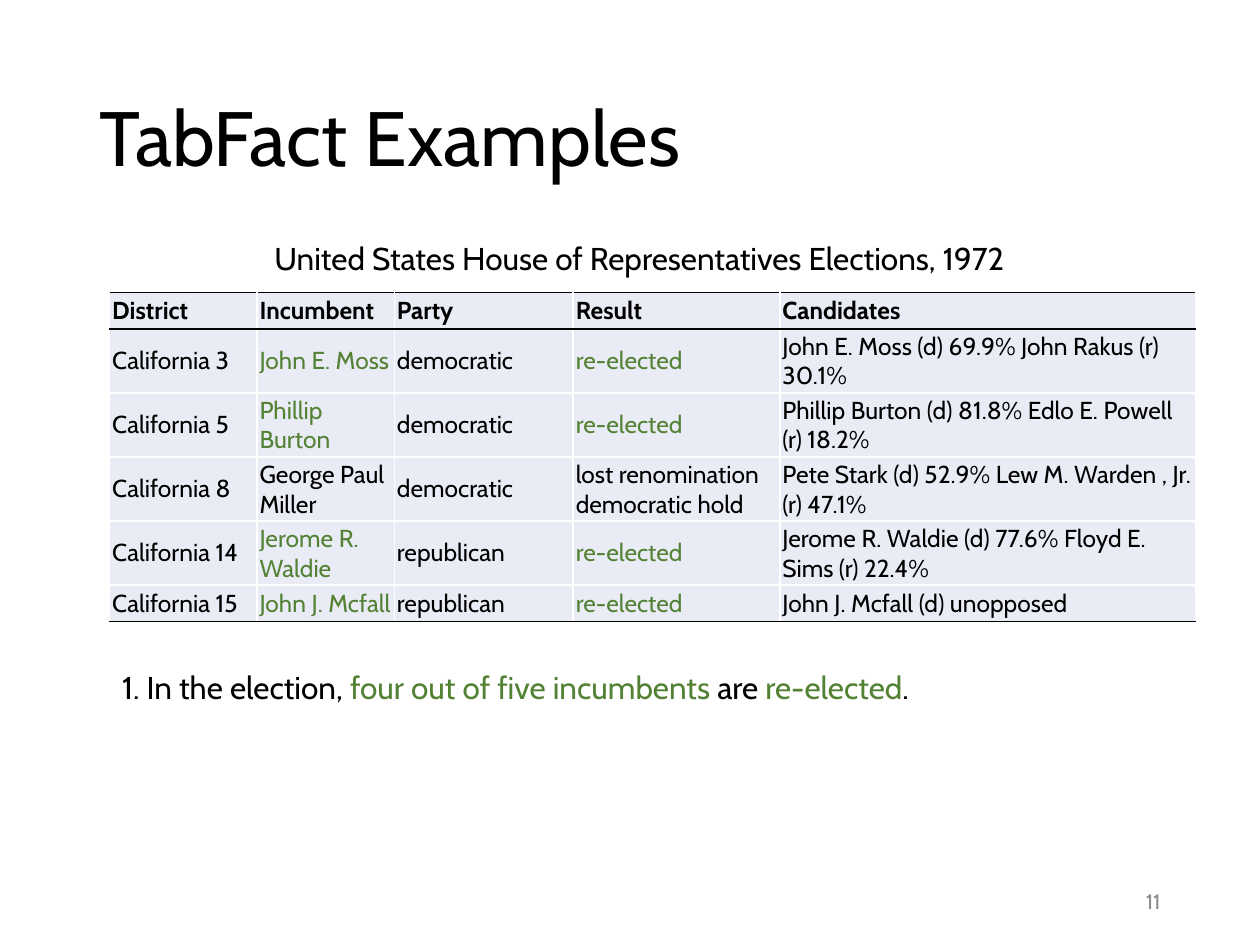
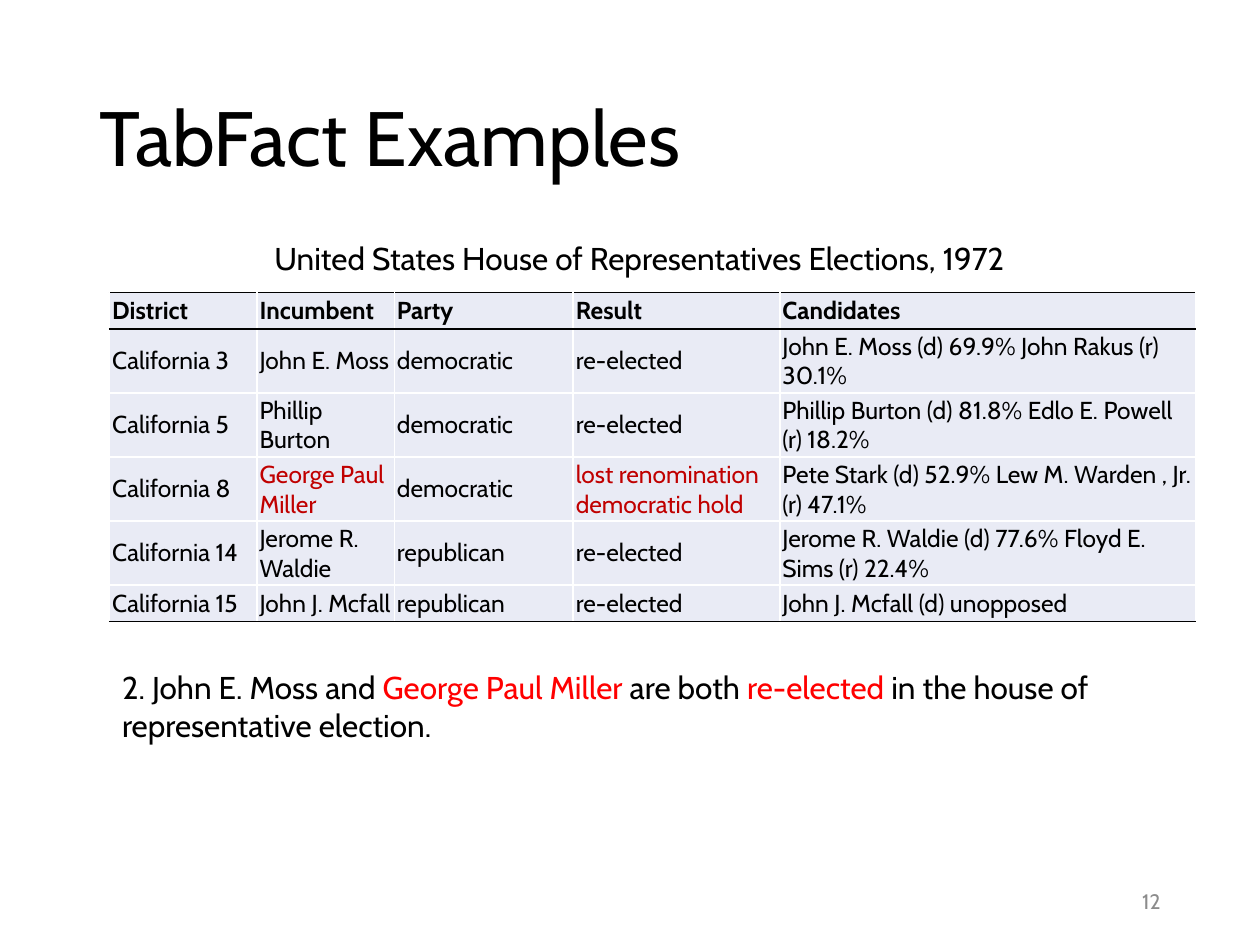
from lxml.etree import SubElement
from pptx import Presentation
from pptx.dml.color import RGBColor
from pptx.enum.text import MSO_ANCHOR, PP_ALIGN
from pptx.oxml.ns import qn
from pptx.util import Pt

COLORS = {"text": "000000", "number": "8C8C8C", "cell": "E9EBF5", "grid": "FFFFFF",
          "rule": "000000", "green": "548235", "dark red": "C00000", "red": "FF0000"}
FONT = "Cabin"

HEADER = ["District", "Incumbent", "Party", "Result", "Candidates"]
ELECTIONS = [
    ["California 3", "John E. Moss", "democratic", "re-elected",
     "John E. Moss (d) 69.9% John Rakus (r) 30.1%"],
    ["California 5", "Phillip Burton", "democratic", "re-elected",
     "Phillip Burton (d) 81.8% Edlo E. Powell (r) 18.2%"],
    ["California 8", "George Paul Miller", "democratic", "lost renomination democratic hold",
     "Pete Stark (d) 52.9% Lew M. Warden , Jr. (r) 47.1%"],
    ["California 14", "Jerome R. Waldie", "republican", "re-elected",
     "Jerome R. Waldie (d) 77.6% Floyd E. Sims (r) 22.4%"],
    ["California 15", "John J. Mcfall", "republican", "re-elected",
     "John J. Mcfall (d) unopposed"],
]
TABLE_ROWS = [HEADER] + ELECTIONS
COLUMN_WIDTHS = [84.24, 78.48, 102.24, 118.08, 237.6]
ROW_HEIGHT = 20.88
HIGHLIGHT_COLUMNS = (HEADER.index("Incumbent"), HEADER.index("Result"))

# Each statement: page number, highlighted table rows and their color, box height, colored runs
STATEMENTS = [
    (11, (1, 2, 4, 5), "green", 28.8,
     [("1. In the election, ", "text"), ("four out of five incumbents ", "green"),
      ("are ", "text"), ("re-elected", "green"), (".", "text")]),
    (12, (3,), "dark red", 51.12,
     [("2. John E. Moss and ", "text"), ("George Paul Miller ", "red"),
      ("are both ", "text"), ("re-elected", "red"),
      (" in the house of representative election.", "text")]),
]


def write_text(frame, runs, size=18, bold=False, align=PP_ALIGN.LEFT, spacing=1.0):
    paragraph = frame.paragraphs[0]
    paragraph.alignment = align
    paragraph.line_spacing = spacing
    for text, color in runs:
        run = paragraph.add_run()
        run.text = text
        run.font.name = FONT
        run.font.size = Pt(size)
        run.font.bold = bold
        run.font.color.rgb = RGBColor.from_string(COLORS[color])


def add_text(slide, box, runs, anchor=MSO_ANCHOR.TOP, **text_format):
    shape = slide.shapes.add_textbox(*[Pt(length) for length in box])
    shape.text_frame.word_wrap = True
    shape.text_frame.vertical_anchor = anchor
    write_text(shape.text_frame, runs, **text_format)


presentation = Presentation()
presentation.slide_width = Pt(720)
presentation.slide_height = Pt(540)

for page, marked_rows, mark_color, statement_height, statement in STATEMENTS:
    slide = presentation.slides.add_slide(presentation.slide_layouts[6])

    # Title
    add_text(slide, (49.68, 28.8, 620.64, 104.4), [("TabFact Examples", "text")],
             anchor=MSO_ANCHOR.MIDDLE, size=44, spacing=0.9)

    # Election table
    table_shape = slide.shapes.add_table(len(TABLE_ROWS), len(HEADER), Pt(62.64), Pt(167.04),
                                         Pt(sum(COLUMN_WIDTHS)), Pt(189.36))
    table = table_shape.table
    table.horz_banding = False
    for column, width in zip(table.columns, COLUMN_WIDTHS):
        column.width = Pt(width)
    for row_index, values in enumerate(TABLE_ROWS):
        table.rows[row_index].height = Pt(ROW_HEIGHT)
        is_header = row_index == 0
        is_last = row_index == len(TABLE_ROWS) - 1
        for column_index, value in enumerate(values):
            cell = table.cell(row_index, column_index)
            cell.vertical_anchor = MSO_ANCHOR.MIDDLE
            cell.margin_left = cell.margin_right = Pt(1.5)
            cell.margin_top = cell.margin_bottom = Pt(1.5)
            marked = row_index in marked_rows and column_index in HIGHLIGHT_COLUMNS
            write_text(cell.text_frame, [(value, mark_color if marked else "text")],
                       size=14, bold=is_header)

            # Black rules around the header and under the last row, white grid inside
            borders = {}
            if column_index > 0:
                borders["a:lnL"] = "grid"
            if column_index < len(HEADER) - 1:
                borders["a:lnR"] = "grid"
            borders["a:lnT"] = "rule" if row_index <= 1 else "grid"
            borders["a:lnB"] = "rule" if is_header or is_last else "grid"
            properties = cell._tc.get_or_add_tcPr()
            for tag, color in borders.items():
                line = SubElement(properties, qn(tag), w=str(Pt(1)))
                fill = SubElement(line, qn("a:solidFill"))
                SubElement(fill, qn("a:srgbClr"), val=COLORS[color])
            cell.fill.solid()
            cell.fill.fore_color.rgb = RGBColor.from_string(COLORS["cell"])
    table_shape.height = Pt(189.36)

    # Table caption and statement
    add_text(slide, (149.76, 133.2, 473.04, 28.8),
             [("United States House of Representatives Elections, 1972", "text")])
    add_text(slide, (62.64, 378, 620.64, statement_height), statement)

    # Page number
    add_text(slide, (508.32, 500.4, 162, 28.8), [(str(page), "number")],
             anchor=MSO_ANCHOR.MIDDLE, size=12, align=PP_ALIGN.RIGHT)

presentation.save("out.pptx")
